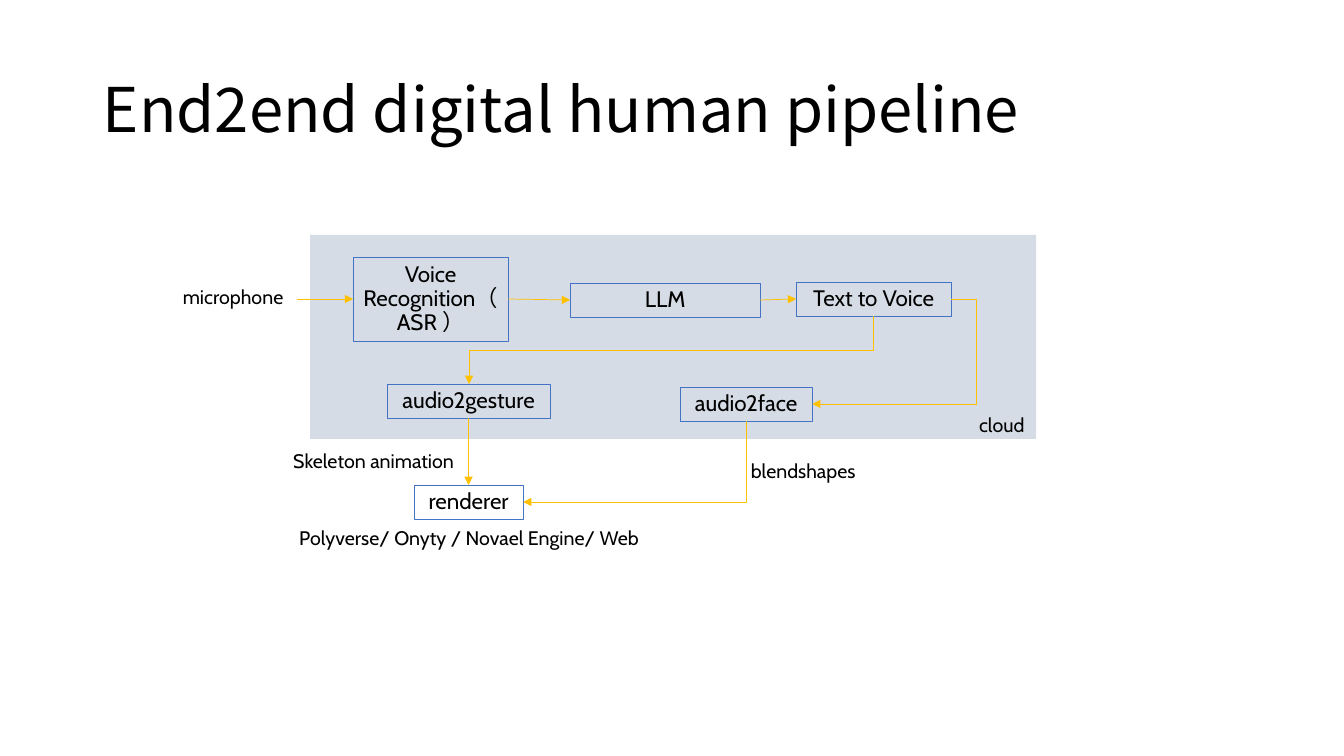
from dataclasses import dataclass

from lxml.etree import SubElement
from pptx import Presentation
from pptx.dml.color import RGBColor as Rgb
from pptx.enum.shapes import MSO_CONNECTOR as Link, MSO_SHAPE as Form
from pptx.enum.text import MSO_ANCHOR as Anchor, PP_ALIGN as Align
from pptx.oxml.ns import qn
from pptx.util import Emu, Inches, Pt

SCALE = 914400 / 100.8


def px(size):
    return Emu(round(size * SCALE))


@dataclass(frozen=True)
class Theme:
    ink: Rgb = Rgb.from_string("000000")
    cloud: Rgb = Rgb.from_string("D6DCE5")
    edge: Rgb = Rgb.from_string("4472C4")
    arrow: Rgb = Rgb.from_string("FFC000")
    head_font: str = "Noto Sans CJK SC"
    body_font: str = "Cabin"
    head_size: int = 44
    box_size: int = 16
    note_size: int = 14
    stroke: float = 0.5


class Board:
    def __init__(self, slide, theme):
        self.shapes = slide.shapes
        self.theme = theme

    def label(self, shape, text, size, font, align=Align.CENTER, wrap=True):
        frame = shape.text_frame
        frame.text = text
        frame.word_wrap = wrap
        frame.vertical_anchor = Anchor.MIDDLE
        for para in frame.paragraphs:
            para.alignment = align
            para.line_spacing = 0.9
            for run in para.runs:
                run.font.name = font
                run.font.size = Pt(size)
                run.font.color.rgb = self.theme.ink

    def title(self, text, *area):
        shape = self.shapes.add_textbox(*map(px, area))
        self.label(shape, text, self.theme.head_size, self.theme.head_font, Align.LEFT)

    def note(self, text, left, top, width):
        shape = self.shapes.add_textbox(*map(px, (left, top, width, 31)))
        self.label(shape, text, self.theme.note_size, self.theme.body_font, wrap=False)

    def rect(self, *area):
        shape = self.shapes.add_shape(Form.RECTANGLE, *map(px, area))
        shape.shadow.inherit = False
        return shape

    def panel(self, *area):
        shape = self.rect(*area)
        shape.fill.solid()
        shape.fill.fore_color.rgb = self.theme.cloud
        shape.line.fill.background()

    def box(self, text, left, top, width, height=34, wrap=True):
        shape = self.rect(left, top, width, height)
        shape.fill.background()
        shape.line.color.rgb = self.theme.edge
        shape.line.width = Pt(self.theme.stroke)
        self.label(shape, text, self.theme.box_size, self.theme.body_font, wrap=wrap)
        return shape

    def link(self, kind, start, end):
        line = self.shapes.add_connector(kind, *map(px, (*start, *end)))
        line.line.color.rgb = self.theme.arrow
        line.line.width = Pt(self.theme.stroke)
        props = line._element.spPr
        SubElement(props.find(qn("a:ln")), qn("a:tailEnd"), type="triangle")
        SubElement(props, qn("a:effectLst"))
        return line

    def join(self, source, side, target, port):
        line = self.link(Link.STRAIGHT, (0, 0), (0, 0))
        line.begin_connect(source, side)
        line.end_connect(target, port)

    def enter(self, start, target, port):
        line = self.link(Link.STRAIGHT, start, start)
        line.end_connect(target, port)

    def loop(self, start, end, bend):
        line = self.link(Link.ELBOW, start, end)
        guides = line._element.spPr.find(qn("a:prstGeom")).find(qn("a:avLst"))
        SubElement(guides, qn("a:gd"), name="adj1", fmla=f"val {bend}")

    def drop(self, start, end, preset="bentConnector3"):
        mid_x, mid_y = (start[0] + end[0]) / 2, (start[1] + end[1]) / 2
        half_x, half_y = (start[0] - end[0]) / 2, (end[1] - start[1]) / 2
        line = self.link(
            Link.ELBOW,
            (mid_x - half_y, mid_y - half_x),
            (mid_x + half_y, mid_y + half_x),
        )
        props = line._element.spPr
        props.find(qn("a:xfrm")).set("rot", "5400000")
        props.find(qn("a:prstGeom")).set("prst", preset)


def main():
    deck = Presentation()
    deck.slide_width, deck.slide_height = Inches(13.33), Inches(7.5)
    board = Board(deck.slides.add_slide(deck.slide_layouts[6]), Theme())

    board.title("End2end digital human pipeline", 93, 40, 1159, 146)
    board.panel(310, 235, 726, 204)

    voice = board.box("Voice Recognition（ ASR ）", 353, 257, 155, 84)
    model = board.box("LLM", 570, 283, 190)
    speech = board.box("Text to Voice", 796, 282, 155)
    board.box("audio2face", 680, 387, 132, wrap=False)
    gesture = board.box("audio2gesture", 387, 384, 163, wrap=False)
    render = board.box("renderer", 414, 485, 109, wrap=False)

    board.enter((297, 299), voice, 1)
    board.join(voice, 3, model, 1)
    board.join(model, 3, speech, 1)
    board.join(gesture, 2, render, 0)
    board.loop((951, 299), (812, 404), -18100)
    board.drop((873, 316), (469, 384))
    board.drop((746, 421), (523, 502), "bentConnector2")

    for note in (
        ("microphone", 171, 283, 124),
        ("Skeleton animation", 278, 447, 191),
        ("blendshapes", 739, 457, 128),
        ("cloud", 967, 411, 69),
        ("Polyverse/ Onyty / Novael Engine/ Web", 281, 524, 376),
    ):
        board.note(*note)

    deck.save("out.pptx")


if __name__ == "__main__":
    main()
